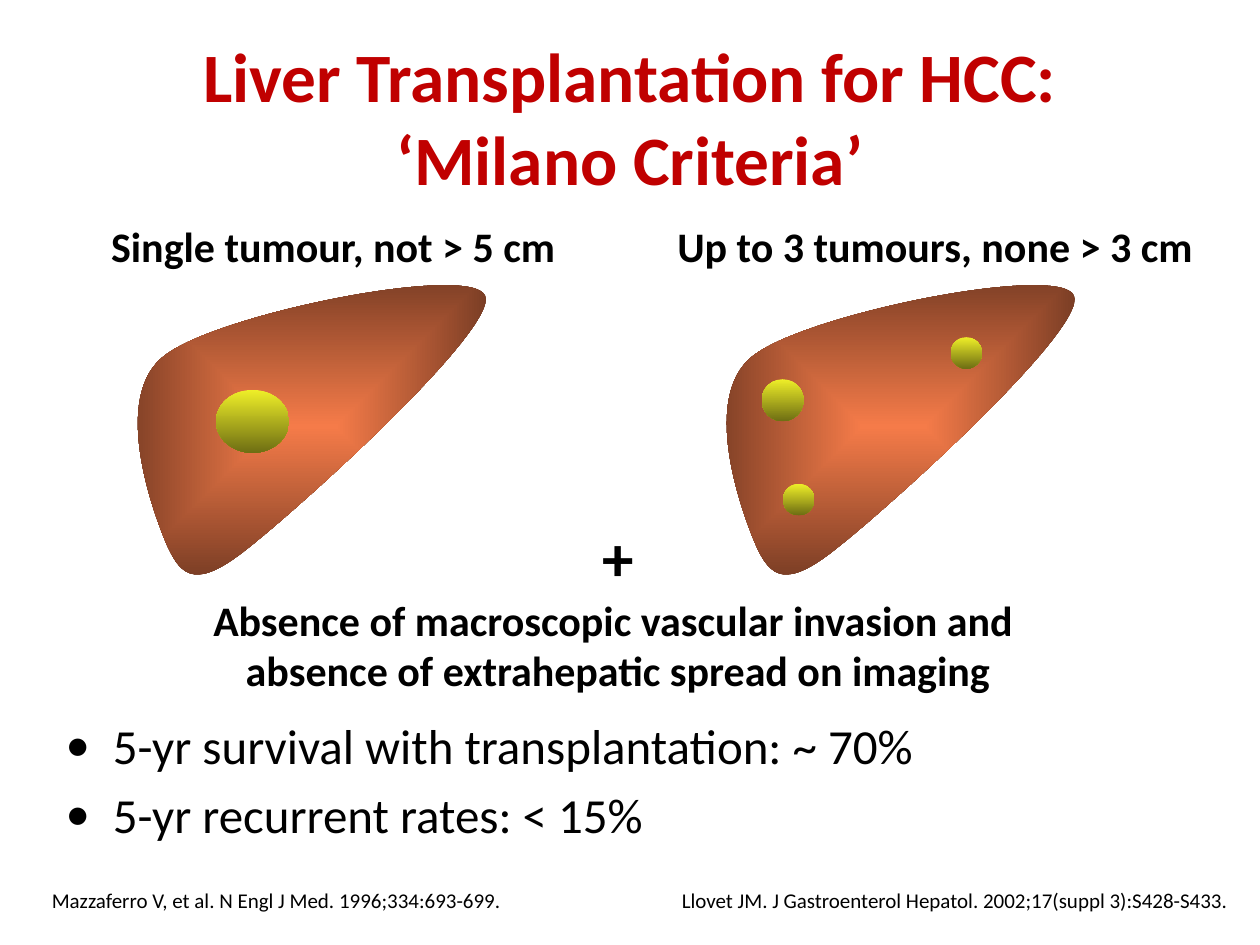
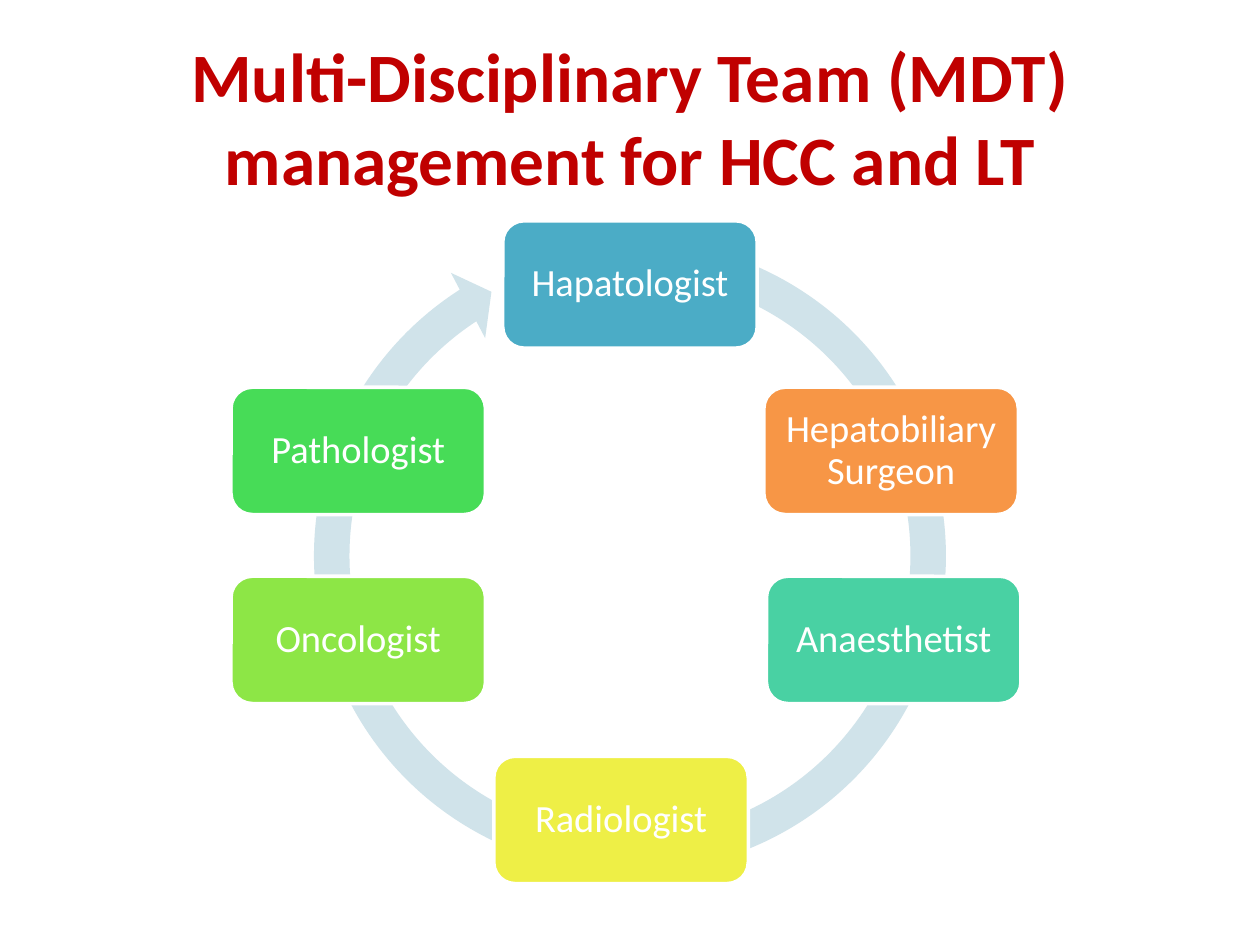
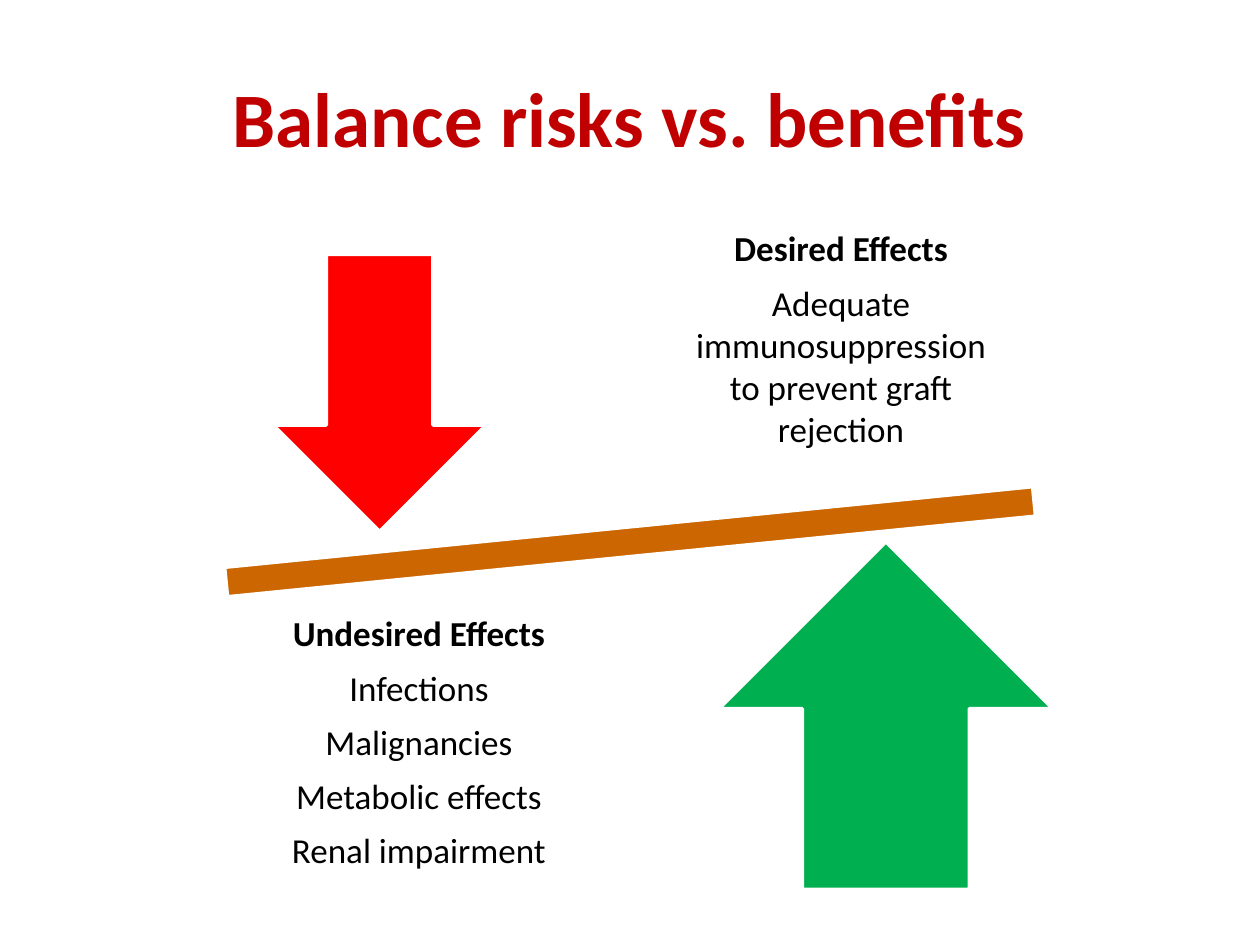
"""Build three slides on liver transplantation for HCC."""
from dataclasses import dataclass
from typing import Sequence

from lxml import etree
from pptx import Presentation
from pptx.dml.color import RGBColor
from pptx.enum.shapes import MSO_SHAPE
from pptx.enum.text import MSO_ANCHOR, PP_ALIGN
from pptx.oxml.ns import qn
from pptx.util import Pt

FONT = "Calibri"
COLORS = {
    "title": "C00000", "text": "000000", "white": "FFFFFF",
    "liver": "F57B49", "edge": "713922", "tumor": "EEEE28", "shade": "6E6E13",
    "ring": "D0E3EA", "blue": "4BACC6", "orange": "F79646", "teal": "49D1A3",
    "yellow": "EEEF46", "lime": "8DE646", "leaf": "47DC57",
    "beam": "CC6600", "red": "FF0000", "green": "00B050",
}
LEFT, CENTER = PP_ALIGN.LEFT, PP_ALIGN.CENTER
TOP, MIDDLE, BOTTOM = MSO_ANCHOR.TOP, MSO_ANCHOR.MIDDLE, MSO_ANCHOR.BOTTOM
OVAL, CARD, RING = MSO_SHAPE.OVAL, MSO_SHAPE.ROUNDED_RECTANGLE, MSO_SHAPE.CIRCULAR_ARROW
BEAM, DOWN, UP = MSO_SHAPE.MATH_MINUS, MSO_SHAPE.DOWN_ARROW, MSO_SHAPE.UP_ARROW

CARD_W, CARD_H = 145.4, 72.7
RING_PERCENTS = (5.3, 312.6, 14227.3, 17127.5, 5.5)
LIVER_START = (95.6, 311.8)
LIVER_CURVES = (
    (87.8, 293.8), (63.2, 227.5), (93.6, 203.6),
    (123.8, 179.3), (269.3, 150.3), (277.2, 169),
    (285.1, 187.2), (172.1, 289.4), (141.8, 313.2),
    (112.3, 337), (103.7, 329.8), LIVER_START,
)
LIVER_SHIFT = 336.5


@dataclass
class Tumor:
    x: float
    y: float
    w: float
    h: float


@dataclass
class Role:
    name: str
    color: str
    x: float
    y: float


@dataclass
class Force:
    kind: int
    color: str
    x: float
    y: float
    w: float
    h: float
    turn: float = 0


TUMORS = (
    Tumor(123.4, 222.8, 41.8, 36),
    Tumor(435.2, 216.7, 24, 24),
    Tumor(543.2, 192.7, 18, 18),
    Tumor(447.4, 276.5, 18, 18),
)
ROLES = (
    Role("Hapatologist", "blue", 287.3, 126.2),
    Role("Anaesthetist", "teal", 438, 329.3),
    Role("Pathologist", "leaf", 132, 221.3),
    Role("Oncologist", "lime", 132, 329.3),
    Role("Radiologist", "yellow", 282.2, 432.2),
    Role("Hepatobiliary Surgeon", "orange", 436.5, 221.3),
)
FORCES = (
    Force(BEAM, "beam", 44.4, 273.6, 631.4, 72, 354.3),
    Force(DOWN, "red", 156.1, 145.4, 121.7, 158.4),
    Force(UP, "green", 410.8, 309.6, 190.8, 198.7),
)


def rgb(name: str) -> RGBColor:
    return RGBColor.from_string(COLORS[name])


def write(frame, *lines: str, size: float, color: str = "text", bold: bool = False,
          align=CENTER, gap: float = 0, after: float = 0, pitch: float = 1,
          bullet: str = "", hang: float = 0, tab: float = 0) -> None:
    for line in lines:
        first = not frame.text
        para = frame.paragraphs[0] if first else frame.add_paragraph()
        para.alignment, para.line_spacing = align, pitch
        para.space_before, para.space_after = Pt(0 if first else gap), Pt(after)
        props = para._p.get_or_add_pPr()
        if bullet:
            props.set("marL", str(Pt(hang)))
            props.set("indent", str(-Pt(hang)))
            etree.SubElement(props, qn("a:buFont"), typeface=FONT)
            etree.SubElement(props, qn("a:buChar"), char=bullet)
        if tab:
            stops = etree.SubElement(props, qn("a:tabLst"))
            etree.SubElement(stops, qn("a:tab"), pos=str(Pt(tab)), algn="l")
        para.text = line
        for run in para.runs:
            font = run.font
            font.name, font.size, font.bold = FONT, Pt(size), bold
            font.color.rgb = rgb(color)


def setup(frame, anchor, pad: Sequence[float]):
    frame.word_wrap, frame.vertical_anchor = True, anchor
    frame.margin_left = frame.margin_right = Pt(pad[0])
    frame.margin_top = frame.margin_bottom = Pt(pad[1])
    return frame


def box(slide, x: float, y: float, w: float, h: float, anchor=TOP,
        pad: Sequence[float] = (7.2, 3.6)):
    shape = slide.shapes.add_textbox(Pt(x), Pt(y), Pt(w), Pt(h))
    return setup(shape.text_frame, anchor, pad)


def paint(shape, color: str, edge: str = "") -> None:
    shape.shadow.inherit = False
    shape.fill.solid()
    shape.fill.fore_color.rgb = rgb(color)
    if edge:
        shape.line.color.rgb = rgb(edge)
        shape.line.width = Pt(2)
    else:
        shape.line.fill.background()


def blend(shape, start: str, end: str, inner: bool = False) -> None:
    shape.shadow.inherit = False
    shape.line.fill.background()
    fill = shape.fill
    fill.gradient()
    fill.gradient_angle = 270
    for stop, name, place in zip(fill.gradient_stops, (start, end), (0, 1)):
        stop.color.rgb = rgb(name)
        stop.position = place
    if inner:
        grad = shape._element.spPr.find(qn("a:gradFill"))
        old = grad.find(qn("a:lin"))
        route = etree.Element(qn("a:path"), path="rect")
        etree.SubElement(route, qn("a:fillToRect"), {side: "50000" for side in "ltrb"})
        grad.replace(old, route)


def shape_at(slide, kind: int, x: float, y: float, w: float, h: float):
    return slide.shapes.add_shape(kind, Pt(x), Pt(y), Pt(w), Pt(h))


def add_slide(deck, title: str, size: float = 39.6):
    slide = deck.slides.add_slide(deck.slide_layouts[6])
    write(box(slide, 36, 21.6, 648, 90, MIDDLE), title, size=size, color="title", bold=True)
    return slide


def curve(shape) -> None:
    lines = list(shape._element.iter(qn("a:lnTo")))
    for index in range(0, len(lines), 3):
        trio = lines[index:index + 3]
        bend = etree.Element(qn("a:cubicBezTo"))
        trio[0].addprevious(bend)
        for line in trio:
            bend.append(line[0])
            line.getparent().remove(line)


def draw_liver(slide, shift: float) -> None:
    start, *points = [(Pt(x + shift), Pt(y)) for x, y in (LIVER_START, *LIVER_CURVES)]
    form = slide.shapes.build_freeform(*start)
    form.add_line_segments(points, close=True)
    liver = form.convert_to_shape()
    curve(liver)
    blend(liver, "liver", "edge", inner=True)


def draw_milan(deck) -> None:
    slide = add_slide(deck, "Liver Transplantation for HCC:\n‘Milano Criteria’")
    write(box(slide, 30.4, 405.4, 666, 96.5),
          "5-yr survival with transplantation: ~ 70%", "5-yr recurrent rates: < 15%",
          size=28, align=LEFT, gap=5.6, bullet="•", hang=27)
    for shift in (0, LIVER_SHIFT):
        draw_liver(slide, shift)
    for spot in TUMORS:
        blend(shape_at(slide, OVAL, spot.x, spot.y, spot.w, spot.h), "tumor", "shade")
    frame = box(slide, 19.8, 292.7, 666.7, 108.7)
    write(frame, "+", size=36, bold=True)
    write(frame, "Absence of macroscopic vascular invasion and ",
          "absence of extrahepatic spread on imaging", size=24, bold=True)
    write(box(slide, 25.5, 122.4, 329.8, 36), "Single tumour, not > 5 cm", size=24, bold=True)
    write(box(slide, 365.8, 122.4, 337, 36), "Up to 3 tumours, none > 3 cm",
          size=24, bold=True)
    write(box(slide, 22.5, 503.3, 694, 21.6, BOTTOM),
          "Mazzaferro V, et al. N Engl J Med. 1996;334:693-699. \t"
          "Llovet JM. J Gastroenterol Hepatol. 2002;17(suppl 3):S428-S433.",
          size=12, align=LEFT, tab=360)


def draw_team(deck) -> None:
    slide = add_slide(deck, "Multi-Disciplinary Team (MDT) management for HCC and LT")
    ring = shape_at(slide, RING, 168.5, 126.2, 383, 383)
    for index, value in enumerate(RING_PERCENTS):
        ring.adjustments[index] = value / 100
    paint(ring, "ring")
    for role in ROLES:
        card = shape_at(slide, CARD, role.x, role.y, CARD_W, CARD_H)
        paint(card, role.color, "white")
        write(setup(card.text_frame, MIDDLE, (6.5, 6.5)), role.name,
              size=22, color="white", pitch=0.9, after=7.7)


def draw_scale(deck) -> None:
    slide = add_slide(deck, "Balance risks vs. benefits", 44)
    for force in FORCES:
        shape = shape_at(slide, force.kind, force.x, force.y, force.w, force.h)
        shape.rotation = force.turn
        paint(shape, force.color, "white")
    for x, y, head, items in (
        (379.1, 111.2, "Desired Effects",
         ["Adequate immunosuppression to prevent graft rejection"]),
        (137.9, 341.3, "Undesired Effects",
         ["Infections", "Malignancies", "Metabolic effects", "Renal impairment"]),
    ):
        frame = box(slide, x, y, 203, 167, MIDDLE, (11.5, 11.5))
        write(frame, head, size=20, bold=True, pitch=0.9, after=7)
        write(frame, *items, size=20, after=7)


def main() -> None:
    deck = Presentation()
    deck.slide_width, deck.slide_height = Pt(720), Pt(540)
    draw_milan(deck)
    draw_team(deck)
    draw_scale(deck)
    deck.save("out.pptx")


if __name__ == "__main__":
    main()
